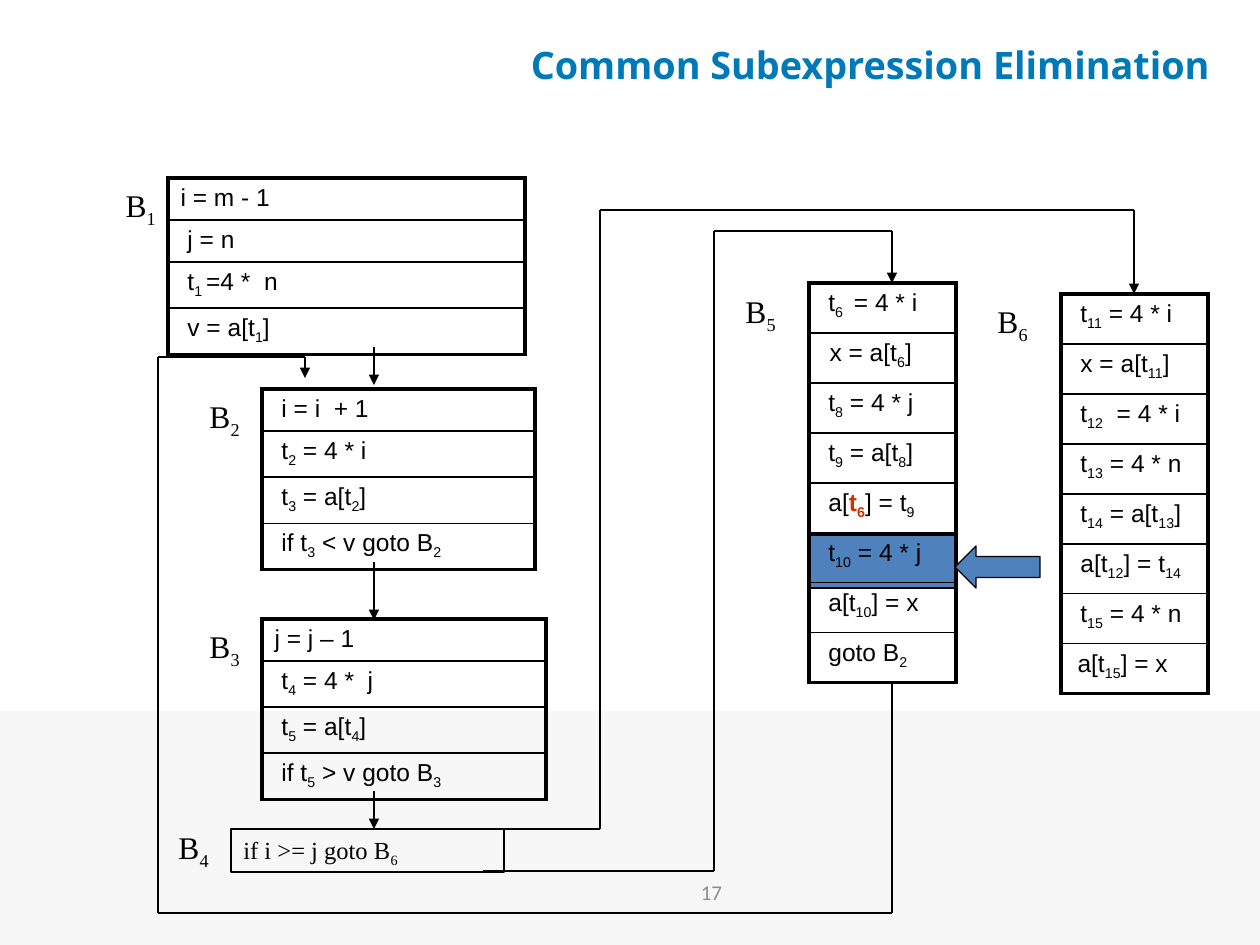
from dataclasses import dataclass
from itertools import pairwise

from lxml.etree import SubElement
from pptx import Presentation
from pptx.dml.color import RGBColor
from pptx.enum.shapes import MSO_CONNECTOR as Connector, MSO_SHAPE as Shape
from pptx.enum.text import MSO_ANCHOR as Anchor, MSO_AUTO_SIZE as AutoSize, PP_ALIGN as Align
from pptx.oxml import parse_xml
from pptx.oxml.ns import nsdecls, qn
from pptx.util import Emu, Pt

PX = 914400 / 126
COLORS = {
    "ink": "000000",
    "title": "0079B8",
    "band": "F7F7F7",
    "number": "8C8C8C",
    "highlight": "4F81BD",
    "changed": "CC3300",
}
SERIF = "Times New Roman"
THICK, THIN, HAIRLINE = 2.25, 1, 0.75

Point = tuple[int, int]


@dataclass
class Block:
    name: str
    label: Point
    origin: Point
    width: int
    row_heights: list[int]
    statements: list[str]


# Braces mark subscripts, tildes mark the replaced operand
BLOCKS = [
    Block("B{1}", (63, 180), (168, 178), 357, [40, 42, 44, 44],
          ["i = m - 1", " j = n", " t{1 }=4 *  n", " v = a[t{1}]"]),
    Block("B{2}", (147, 391), (262, 389), 273, [40, 44, 44, 44],
          [" i = i  + 1", " t{2} = 4 * i", " t{3} = a[t{2}]",
           " if t{3} < v goto B{2}"]),
    Block("B{3}", (147, 621), (262, 619), 284, [41, 44, 44, 44],
          ["j = j – 1", " t{4} = 4 *  j", " t{5} = a[t{4}]",
           " if t{5} > v goto B{3}"]),
    Block("B{5}", (683, 286), (809, 283), 147, [50] * 8,
          [" t{6 } = 4 * i", "{  }x = a[t{6}]", " t{8} = 4 * j",
           " t{9} = a[t{8}]", " a[~t{6}~] = t{9}", " t{10} = 4 * j",
           " a[t{10}] = x", " goto B{2}"]),
    Block("B{6}", (935, 296), (1061, 294), 147, [50] * 8,
          [" t{11} = 4 * i", " x = a[t{11}]", " t{12}  = 4 * i",
           " t{13} = 4 * n", " t{14} = a[t{13}]", " a[t{12}] = t{14}",
           " t{15} = 4 * n", "{ }a[t{15}] = x"]),
]

# Each path ends in an arrowhead
FLOW_PATHS: list[list[Point]] = [
    [(374, 347), (374, 385)],
    [(374, 562), (374, 620)],
    [(374, 791), (374, 829)],
    [(483, 829), (600, 829), (600, 210), (1134, 210), (1134, 294)],
    [(483, 871), (714, 871), (714, 231), (892, 231), (892, 283)],
    [(892, 683), (892, 913), (158, 913), (158, 357), (305, 357), (305, 378)],
]


def px(value: int) -> Emu:
    return Emu(round(value * PX))


def color(name: str) -> RGBColor:
    return RGBColor.from_string(COLORS[name])


def write(frame, text: str, *, size=14, font="Arial", ink="ink", bold=False,
          align=Align.LEFT, anchor=Anchor.TOP) -> None:
    frame.word_wrap = True
    frame.vertical_anchor = anchor
    paragraph = frame.paragraphs[0]
    paragraph.alignment = align
    for changed, part in enumerate(text.split("~")):
        emphasis = changed % 2 == 1
        for lowered, piece in enumerate(part.replace("}", "{").split("{")):
            if not piece:
                continue
            run = paragraph.add_run()
            run.text = piece
            run.font.size = Pt(size)
            run.font.name = font
            run.font.bold = bold or emphasis
            run.font.color.rgb = color("changed" if emphasis else ink)
            if lowered % 2:
                run.font._element.set("baseline", "-25000")


def add_text(slide, text: str, left: int, top: int, width: int, height: int, **style) -> None:
    box = slide.shapes.add_textbox(px(left), px(top), px(width), px(height))
    write(box.text_frame, text, **style)


def add_box(slide, left: int, top: int, width: int, height: int, *,
            kind=Shape.RECTANGLE, fill: str | None = None, outlined=True):
    shape = slide.shapes.add_shape(kind, px(left), px(top), px(width), px(height))
    shape.shadow.inherit = False
    if fill:
        shape.fill.solid()
        shape.fill.fore_color.rgb = color(fill)
    else:
        shape.fill.background()
    if outlined:
        shape.line.color.rgb = color("ink")
        shape.line.width = Pt(HAIRLINE)
    else:
        shape.line.fill.background()
    return shape


def set_borders(cell, first: bool, last: bool) -> None:
    widths = {"lnL": THICK, "lnR": THICK,
              "lnT": THICK if first else THIN, "lnB": THICK if last else THIN}
    properties = cell._tc.get_or_add_tcPr()
    for position, (edge, width) in enumerate(widths.items()):
        properties.insert(position, parse_xml(
            f'<a:{edge} {nsdecls("a")} w="{Pt(width)}"><a:solidFill>'
            f'<a:srgbClr val="{COLORS["ink"]}"/></a:solidFill></a:{edge}>'))


def add_block(slide, block: Block) -> None:
    add_text(slide, block.name, *block.label, 105, 50, size=18, font=SERIF, align=Align.RIGHT)
    left, top = block.origin
    count = len(block.statements)
    table = slide.shapes.add_table(count, 1, px(left), px(top), px(block.width),
                                   px(sum(block.row_heights))).table
    table.first_row = table.horz_banding = False
    table.columns[0].width = px(block.width)
    for index, statement in enumerate(block.statements):
        table.rows[index].height = px(block.row_heights[index])
        cell = table.cell(index, 0)
        cell.fill.background()
        set_borders(cell, index == 0, index == count - 1)
        write(cell.text_frame, statement)


def add_path(slide, points: list[Point]) -> None:
    for start, end in pairwise(points):
        connector = slide.shapes.add_connector(Connector.STRAIGHT, *map(px, start + end))
        connector.line.color.rgb = color("ink")
        connector.line.width = Pt(HAIRLINE)
        SubElement(connector._element.spPr, qn("a:effectLst"))
    SubElement(connector.line._get_or_add_ln(), qn("a:tailEnd"), type="triangle")


def main() -> None:
    presentation = Presentation()
    presentation.slide_width, presentation.slide_height = px(1260), px(945)
    slide = presentation.slides.add_slide(presentation.slide_layouts[5])

    # Background band, page number and title
    add_box(slide, 0, 711, 1260, 234, fill="band", outlined=False)
    add_text(slide, "17", 512, 859, 399, 66, size=12, font="Calibri",
             ink="number", align=Align.CENTER, anchor=Anchor.MIDDLE)
    title = slide.shapes.title
    title.left, title.top, title.width, title.height = map(px, (504, 22, 733, 84))
    title.text_frame.auto_size = AutoSize.NONE
    write(title.text_frame, "Common Subexpression Elimination", size=21.6,
          font="Open Sans", ink="title", bold=True, align=Align.CENTER,
          anchor=Anchor.MIDDLE)

    # Basic blocks, with the repeated computation highlighted behind its row
    add_box(slide, 809, 535, 147, 53, fill="highlight")
    for block in BLOCKS:
        add_block(slide, block)
    add_text(slide, "B{4}", 116, 822, 105, 50, size=18, font=SERIF, align=Align.RIGHT)
    branch = add_box(slide, 231, 829, 273, 43)
    write(branch.text_frame, "if i >= j goto B{6}", font=SERIF)

    # Control flow and the pointer to the highlighted row
    for points in FLOW_PATHS:
        add_path(slide, points)
    add_box(slide, 955, 546, 85, 42, kind=Shape.LEFT_ARROW, fill="highlight")

    presentation.save("out.pptx")


if __name__ == "__main__":
    main()
